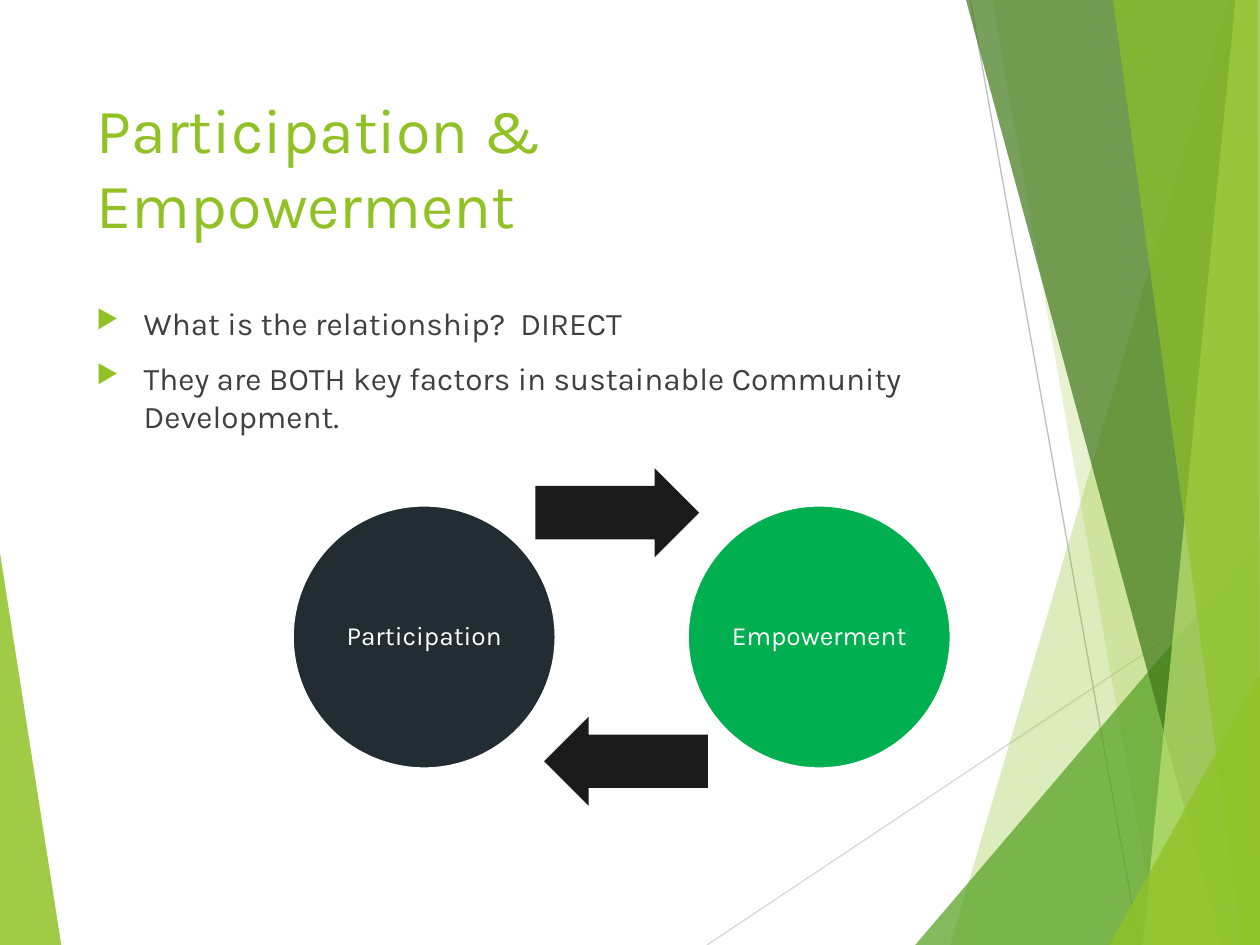
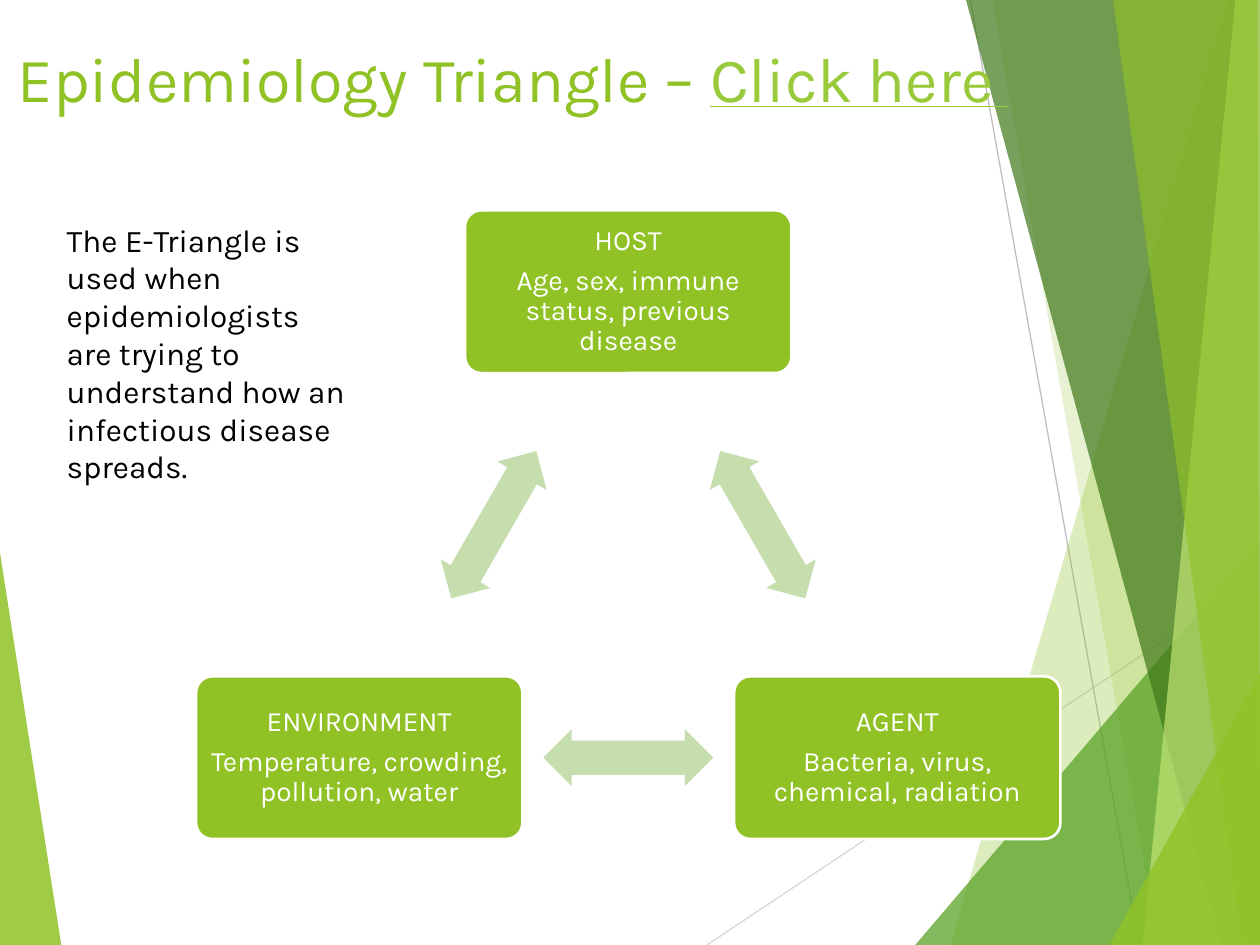
from itertools import combinations
from math import atan2, cos, degrees, radians, sin

from lxml.etree import SubElement
from pptx import Presentation
from pptx.dml.color import RGBColor
from pptx.enum.shapes import MSO_CONNECTOR, MSO_SHAPE
from pptx.enum.text import MSO_ANCHOR, MSO_AUTO_SIZE, PP_ALIGN
from pptx.oxml.ns import qn
from pptx.util import Pt

FONT = "Karla"
WIDTH, HEIGHT = 720, 540

WHITE = RGBColor(0xFF, 0xFF, 0xFF)
BLACK = RGBColor(0x00, 0x00, 0x00)
BODY_GRAY = RGBColor(0x40, 0x40, 0x40)
LEAF = RGBColor(0x90, 0xC2, 0x26)
GRASS = RGBColor(0x54, 0xA0, 0x21)
FOREST = RGBColor(0x3F, 0x78, 0x19)
LIME = RGBColor(0xC0, 0xE4, 0x74)
LINK_GREEN = RGBColor(0x99, 0xCA, 0x3C)
SLATE = RGBColor(0x21, 0x2D, 0x32)
EMERALD = RGBColor(0x00, 0xB0, 0x50)
CHARCOAL = RGBColor(0x1A, 0x1A, 0x1A)
PALE_GREEN = RGBColor(0xC6, 0xDD, 0xAD)
LINE_LIGHT = RGBColor(0xD9, 0xD9, 0xD9)
LINE_GRAY = RGBColor(0xBF, 0xBF, 0xBF)

# Backdrop: lines as (start, end, colour), facets as (corners, colour, opacity %)
RIGHT_EDGE = [(WIDTH, HEIGHT), (WIDTH, 0)]
LEFT_FACET = ([(0, 316), (35, HEIGHT), (0, HEIGHT)], LEAF, 85)
BACKDROP_LINES = [
    ((404, HEIGHT), (WIDTH, 329.5), LINE_LIGHT),
    ((554.5, 0), (651, HEIGHT), LINE_GRAY),
]
RIGHT_FACETS = [
    ([(702, 0), (543, HEIGHT), *RIGHT_EDGE], LEAF, 30),
    ([(567, 0), (662, HEIGHT), *RIGHT_EDGE], LEAF, 20),
    ([(523, HEIGHT), (WIDTH, 309), (WIDTH, HEIGHT)], GRASS, 72),
    ([(552, 0), (698, HEIGHT), *RIGHT_EDGE], FOREST, 70),
    ([(706, 0), (653, HEIGHT), *RIGHT_EDGE], LIME, 70),
    ([(636, 0), (710, HEIGHT), (WIDTH, HEIGHT), (718.5, 0)], LEAF, 65),
    ([(634, HEIGHT), (WIDTH, 385), (WIDTH, HEIGHT)], LEAF, 80),
]

EMPOWERMENT_TITLE = [("Participation & Empowerment", LEAF, False)]
EMPOWERMENT_POINTS = [
    "What is the relationship?  DIRECT",
    "They are BOTH key factors in sustainable Community Development.",
]
CYCLE = [("Participation", SLATE), ("Empowerment", EMERALD)]
CYCLE_CENTER = (355.25, 364)
CIRCLE_SIZE, CIRCLE_STEP = 150.5, 225.75
CYCLE_ARROW_SIZE = (93.6, 50.8)
CYCLE_ARROW_OFFSET = (2.5, 71)

TRIANGLE_TITLE = [
    ("Epidemiology Triangle – ", LEAF, False),
    ("Click here ", LINK_GREEN, True),
]
TRIANGLE_NOTE = (
    "The E-Triangle is used when epidemiologists are trying to understand "
    "how an infectious disease spreads."
)
TRIANGLE = [
    ("HOST", "Age, sex, immune status, previous disease"),
    ("AGENT", "Bacteria, virus, chemical, radiation"),
    ("ENVIRONMENT", "Temperature, crowding, pollution, water"),
]
TRIANGLE_CENTER, TRIANGLE_RADIUS = (359, 344.2), 177.5
CARD_SIZE = (186.5, 93)
TRIANGLE_ARROW_SIZE = (97.2, 32.6)


def add_span(para, text, size, color, underline=False):
    span = para.add_run()
    span.text = text
    span.font.name = FONT
    span.font.size = Pt(size)
    span.font.color.rgb = color
    if underline:
        span.font.underline = True


def add_facet(page, corners, color, opacity):
    points = [(Pt(x), Pt(y)) for x, y in corners]
    builder = page.shapes.build_freeform(*points[0])
    builder.add_line_segments(points[1:])
    facet = builder.convert_to_shape()
    facet.shadow.inherit = False
    facet.fill.solid()
    facet.fill.fore_color.rgb = color
    facet.line.fill.background()
    rgb = facet.element.spPr.find(".//" + qn("a:srgbClr"))
    SubElement(rgb, qn("a:alpha"), val=str(opacity * 1000))


def add_backdrop(page):
    add_facet(page, *LEFT_FACET)
    for start, end, color in BACKDROP_LINES:
        line = page.shapes.add_connector(
            MSO_CONNECTOR.STRAIGHT, *(Pt(value) for value in start + end))
        line.line.color.rgb = color
        line.line.width = Pt(0.75)
        SubElement(line.element.spPr, qn("a:effectLst"))
    for facet in RIGHT_FACETS:
        add_facet(page, *facet)


def add_page(deck, title_spans, title_frame):
    """Add a page with the backdrop and, in front of it, the title."""
    page = deck.slides.add_slide(deck.slide_layouts[5])
    add_backdrop(page)
    title = page.shapes.title
    title.element.getparent().append(title.element)
    title.left, title.top, title.width, title.height = map(Pt, title_frame)
    frame = title.text_frame
    frame.auto_size = MSO_AUTO_SIZE.NONE
    frame.vertical_anchor = MSO_ANCHOR.TOP
    para = frame.paragraphs[0]
    para.alignment = PP_ALIGN.LEFT
    for text, color, underline in title_spans:
        add_span(para, text, 36, color, underline)
    return page


def add_centered_shape(page, kind, center, size, color, adjustments=()):
    (x, y), (width, height) = center, size
    shape = page.shapes.add_shape(
        kind, Pt(x - width / 2), Pt(y - height / 2), Pt(width), Pt(height))
    shape.shadow.inherit = False
    shape.fill.solid()
    shape.fill.fore_color.rgb = color
    shape.line.fill.background()
    for index, value in enumerate(adjustments):
        shape.adjustments[index] = value
    return shape


def add_arrow(page, kind, center, size, color, rotation):
    arrow = add_centered_shape(page, kind, center, size, color, (0.6, 0.5))
    arrow.rotation = rotation


def label_shape(shape, lines, size, margin):
    """Give a diagram node its white outline and centred text."""
    shape.line.color.rgb = WHITE
    shape.line.width = Pt(1.5)
    frame = shape.text_frame
    frame.word_wrap = True
    frame.vertical_anchor = MSO_ANCHOR.MIDDLE
    frame.margin_left = frame.margin_right = Pt(margin)
    frame.margin_top = frame.margin_bottom = Pt(margin)
    for index, text in enumerate(lines):
        para = frame.add_paragraph() if index else frame.paragraphs[0]
        para.alignment = PP_ALIGN.CENTER
        para.line_spacing = 0.9
        para.space_after = Pt(size * 0.35)
        add_span(para, text, size, WHITE)


def add_text_box(page, left, top, width, height):
    box = page.shapes.add_textbox(Pt(left), Pt(top), Pt(width), Pt(height))
    box.text_frame.word_wrap = True
    return box.text_frame


def add_bullet(para):
    properties = para._p.get_or_add_pPr()
    properties.set("marL", str(Pt(27)))
    properties.set("indent", str(Pt(-27)))
    bullet_color = SubElement(properties, qn("a:buClr"))
    SubElement(bullet_color, qn("a:srgbClr"), val=str(LEAF))
    SubElement(properties, qn("a:buSzPct"), val="80000")
    SubElement(properties, qn("a:buChar"), char="▶")


def build_empowerment_page(deck):
    page = add_page(deck, EMPOWERMENT_TITLE, (48, 48, 500, 104))

    frame = add_text_box(page, 48, 170, 500, 90)
    for index, text in enumerate(EMPOWERMENT_POINTS):
        para = frame.add_paragraph() if index else frame.paragraphs[0]
        add_bullet(para)
        if index:
            para.space_before = Pt(10)
        add_span(para, text, 18, BODY_GRAY)

    x, y = CYCLE_CENTER
    shift_x, shift_y = CYCLE_ARROW_OFFSET
    for (name, color), side in zip(CYCLE, (-1, 1)):
        circle = add_centered_shape(
            page, MSO_SHAPE.OVAL, (x + side * CIRCLE_STEP / 2, y),
            (CIRCLE_SIZE, CIRCLE_SIZE), color)
        label_shape(circle, [name], 15, 1.5)
        add_arrow(page, MSO_SHAPE.RIGHT_ARROW,
                  (x + side * shift_x, y + side * shift_y),
                  CYCLE_ARROW_SIZE, CHARCOAL, 0 if side < 0 else 180)


def build_triangle_page(deck):
    page = add_page(deck, TRIANGLE_TITLE, (3, 19, 601, 104))

    x, y = TRIANGLE_CENTER
    corners = []
    for index, lines in enumerate(TRIANGLE):
        angle = radians(index * 360 / len(TRIANGLE) - 90)
        corner = (x + TRIANGLE_RADIUS * cos(angle), y + TRIANGLE_RADIUS * sin(angle))
        corners.append(corner)
        card = add_centered_shape(
            page, MSO_SHAPE.ROUNDED_RECTANGLE, corner, CARD_SIZE, LEAF, (0.1,))
        label_shape(card, lines, 16, 5)

    for (x1, y1), (x2, y2) in combinations(corners, 2):
        add_arrow(page, MSO_SHAPE.LEFT_RIGHT_ARROW,
                  ((x1 + x2) / 2, (y1 + y2) / 2), TRIANGLE_ARROW_SIZE,
                  PALE_GREEN, round(degrees(atan2(y2 - y1, x2 - x1))))

    frame = add_text_box(page, 31, 122.5, 175.5, 160)
    frame.auto_size = MSO_AUTO_SIZE.SHAPE_TO_FIT_TEXT
    add_span(frame.paragraphs[0], TRIANGLE_NOTE, 18, BLACK)


def main():
    deck = Presentation()
    deck.slide_width, deck.slide_height = Pt(WIDTH), Pt(HEIGHT)
    build_empowerment_page(deck)
    build_triangle_page(deck)
    deck.save("out.pptx")


if __name__ == "__main__":
    main()
